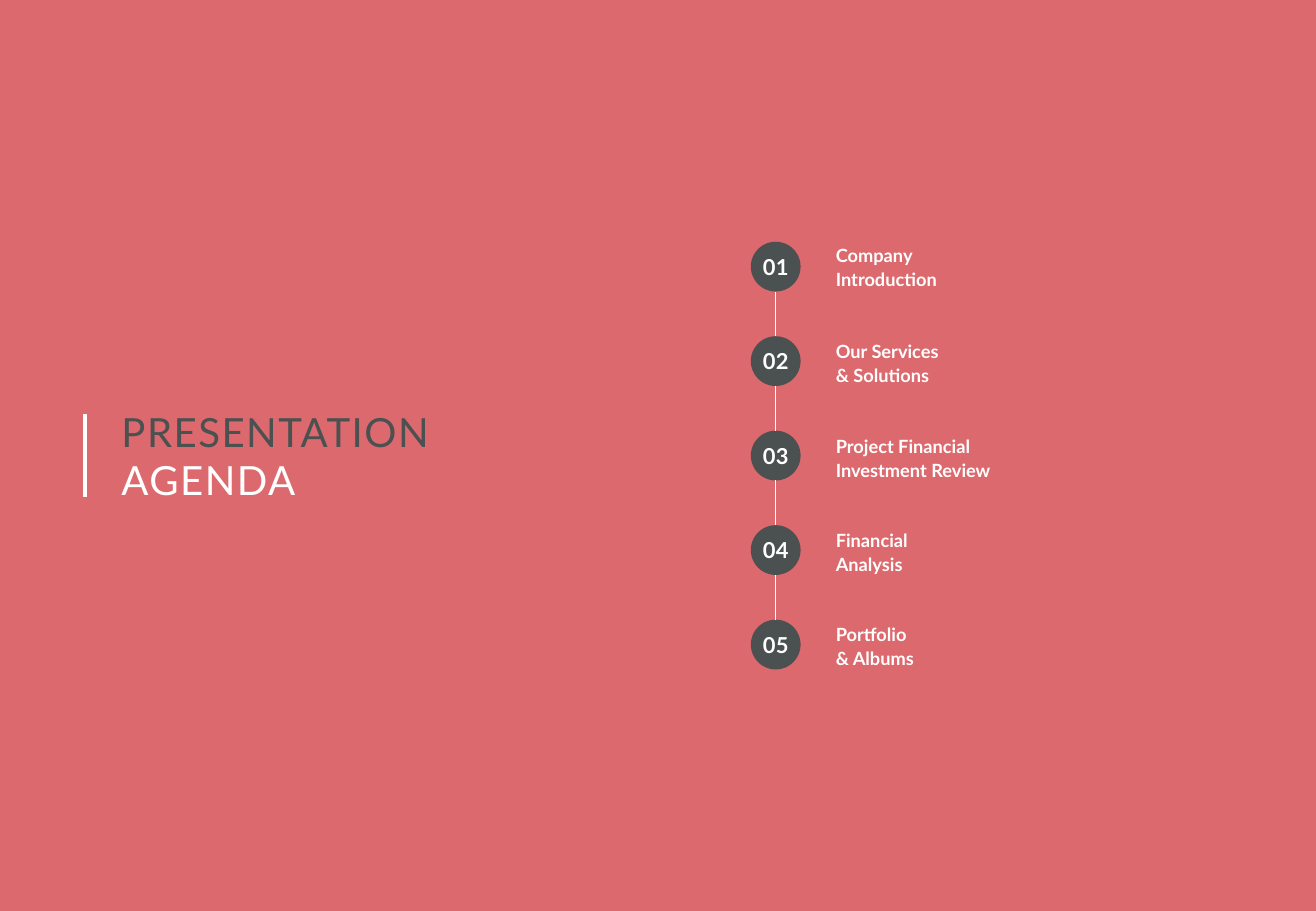
from dataclasses import dataclass
from itertools import pairwise
from typing import Any

from lxml.etree import SubElement
from pptx import Presentation
from pptx.dml.color import RGBColor
from pptx.enum.shapes import MSO_CONNECTOR, MSO_SHAPE
from pptx.enum.text import MSO_ANCHOR, MSO_AUTO_SIZE, PP_ALIGN
from pptx.oxml.ns import qn
from pptx.slide import Slide
from pptx.text.text import TextFrame
from pptx.util import Pt


@dataclass(frozen=True)
class TextStyle:
    size: float
    color: RGBColor
    bold: bool = False
    tracking: float = 0


@dataclass(frozen=True)
class Theme:
    font: str = "Lato"
    coral: RGBColor = RGBColor(0xDC, 0x69, 0x6E)
    slate: RGBColor = RGBColor(0x4B, 0x50, 0x50)
    white: RGBColor = RGBColor(0xFF, 0xFF, 0xFF)
    title_size: float = 23.8
    label_size: float = 10.8
    number_size: float = 13


@dataclass(frozen=True)
class AgendaItem:
    lines: tuple[str, str]
    label_drop: float  # label top below circle top


THEME = Theme()
TITLE_DARK = TextStyle(THEME.title_size, THEME.slate, tracking=0.9)
TITLE_LIGHT = TextStyle(THEME.title_size, THEME.white, tracking=0.9)
LABEL = TextStyle(THEME.label_size, THEME.white, bold=True)
NUMBER = TextStyle(THEME.number_size, THEME.white, bold=True, tracking=0.2)

AGENDA = (
    AgendaItem(("Company", "Introduction"), 0),
    AgendaItem(("Our Services", "& Solutions"), 1.4),
    AgendaItem(("Project Financial", "Investment Review"), 1.2),
    AgendaItem(("Financial", "Analysis"), 1.2),
    AgendaItem(("Portfolio", "& Albums"), 0.8),
)

CIRCLE_LEFT, FIRST_TOP = 445, 143.3
DIAMETER, PITCH = 29.5, 56
LABEL_LEFT, LABEL_WIDTH, LABEL_HEIGHT = 495.4, 140.4, 28.8


def set_attributes(target: Any, values: dict[str, Any]) -> None:
    for name, value in values.items():
        setattr(target, name, value)


def write_lines(
    tf: TextFrame,
    lines: list[tuple[str, TextStyle]],
    align: PP_ALIGN = PP_ALIGN.LEFT,
    anchor: MSO_ANCHOR = MSO_ANCHOR.TOP,
    spacing: float = 1.0,
) -> None:
    """Fill a frame without insets, one paragraph per styled line."""
    set_attributes(tf, {
        "margin_left": 0, "margin_top": 0, "margin_right": 0, "margin_bottom": 0,
        "word_wrap": True, "auto_size": MSO_AUTO_SIZE.NONE, "vertical_anchor": anchor,
    })
    for i, (text, style) in enumerate(lines):
        p = tf.add_paragraph() if i else tf.paragraphs[0]
        set_attributes(p, {"alignment": align, "line_spacing": spacing})
        r = p.add_run()
        r.text = text
        set_attributes(r.font, {
            "name": THEME.font, "size": Pt(style.size), "bold": style.bold,
        })
        r.font.color.rgb = style.color
        if style.tracking:
            r._r.get_or_add_rPr().set("spc", str(round(style.tracking * 100)))


def add_vertical_line(s: Slide, x: float, top: float, bottom: float, width: float) -> None:
    line = s.shapes.add_connector(
        MSO_CONNECTOR.STRAIGHT, Pt(x), Pt(top), Pt(x), Pt(bottom))
    line.line.color.rgb = THEME.white
    line.line.width = Pt(width)
    SubElement(line._element.spPr, qn("a:effectLst"))


def add_title(s: Slide) -> None:
    add_vertical_line(s, 50.4, 245.5, 294.5, 2.25)
    title = s.shapes.title
    set_attributes(title, {
        "left": Pt(72), "top": Pt(241.2), "width": Pt(308.9), "height": Pt(57.6),
    })
    write_lines(title.text_frame,
                [("PRESENTATION", TITLE_DARK), ("AGENDA", TITLE_LIGHT)])


def add_agenda_item(s: Slide, number: int, item: AgendaItem, top: float) -> None:
    label = s.shapes.add_textbox(
        Pt(LABEL_LEFT), Pt(top + item.label_drop), Pt(LABEL_WIDTH), Pt(LABEL_HEIGHT))
    write_lines(label.text_frame, [(line, LABEL) for line in item.lines], spacing=1.1)

    circle = s.shapes.add_shape(
        MSO_SHAPE.OVAL, Pt(CIRCLE_LEFT), Pt(top), Pt(DIAMETER), Pt(DIAMETER))
    circle.shadow.inherit = False
    circle.fill.solid()
    circle.fill.fore_color.rgb = THEME.slate
    circle.line.fill.background()
    write_lines(circle.text_frame, [(f"{number:02}", NUMBER)],
                PP_ALIGN.CENTER, MSO_ANCHOR.MIDDLE)
    circle.text_frame.word_wrap = False


def main() -> None:
    prs = Presentation()
    prs.slide_width, prs.slide_height = Pt(780), Pt(540)
    s = prs.slides.add_slide(prs.slide_layouts.get_by_name("Title Only"))
    s.background.fill.solid()
    s.background.fill.fore_color.rgb = THEME.coral

    add_title(s)
    tops = [FIRST_TOP + i * PITCH for i in range(len(AGENDA))]
    for number, (item, top) in enumerate(zip(AGENDA, tops), start=1):
        add_agenda_item(s, number, item, top)
    for upper, lower in pairwise(tops):
        add_vertical_line(s, CIRCLE_LEFT + DIAMETER / 2, upper + DIAMETER, lower, 1)
    prs.save("out.pptx")


if __name__ == "__main__":
    main()
